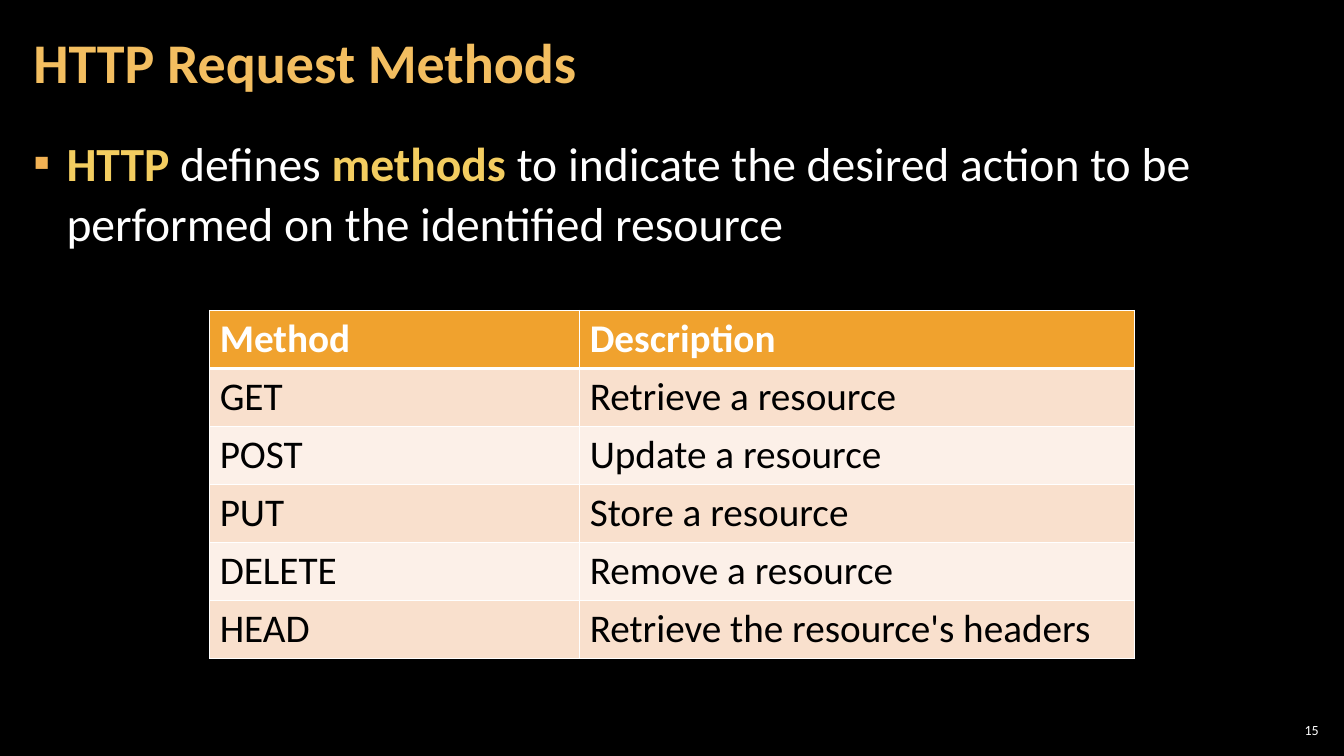
from lxml import etree
from pptx import Presentation
from pptx.dml.color import RGBColor
from pptx.enum.text import MSO_ANCHOR, MSO_AUTO_SIZE, PP_ALIGN
from pptx.oxml.ns import qn
from pptx.util import Inches, Pt

MIDDLE, TOP = MSO_ANCHOR.MIDDLE, MSO_ANCHOR.TOP
LEFT, RIGHT = PP_ALIGN.LEFT, PP_ALIGN.RIGHT
NO_AUTOFIT = MSO_AUTO_SIZE.NONE

BLACK = RGBColor(0x00, 0x00, 0x00)
WHITE = RGBColor(0xFF, 0xFF, 0xFF)
TITLE_GOLD = RGBColor(0xF3, 0xBE, 0x60)
KEYWORD_YELLOW = RGBColor(0xF3, 0xCD, 0x60)
BULLET_ORANGE = RGBColor(0xF2, 0xB2, 0x54)
HEADER_ORANGE = RGBColor(0xF0, 0xA2, 0x2E)
BAND_COLORS = (RGBColor(0xF9, 0xE0, 0xCD), RGBColor(0xFC, 0xF0, 0xE8))

FONT = "Calibri"
METHODS = [
    ("Method", "Description"),
    ("GET", "Retrieve a resource"),
    ("POST", "Update a resource"),
    ("PUT", "Store a resource"),
    ("DELETE", "Remove a resource"),
    ("HEAD", "Retrieve the resource's headers"),
]
COLUMN_WIDTHS = (3.67, 5.5)
ROW_HEIGHT = 0.57


def add_run(paragraph, text, size, color, bold=False):
    run = paragraph.add_run()
    run.text = text
    run.font.name = FONT
    run.font.size = Pt(size)
    run.font.bold = bold
    run.font.color.rgb = color


def set_frame(frame, anchor, side_inset):
    frame.word_wrap = True
    frame.auto_size = NO_AUTOFIT
    frame.vertical_anchor = anchor
    frame.margin_left = frame.margin_right = Inches(side_inset)
    frame.margin_top = frame.margin_bottom = Inches(0.04)


def add_text_box(slide, left, top, width, height, anchor, side_inset):
    box = slide.shapes.add_textbox(Inches(left), Inches(top), Inches(width), Inches(height))
    set_frame(box.text_frame, anchor, side_inset)
    return box.text_frame.paragraphs[0]


def set_bullet(paragraph, char, color, indent):
    properties = paragraph._p.get_or_add_pPr()
    properties.set("marL", str(Inches(indent)))
    properties.set("indent", str(-Inches(indent)))
    bullet_color = etree.SubElement(properties, qn("a:buClr"))
    etree.SubElement(bullet_color, qn("a:srgbClr"), val=str(color))
    etree.SubElement(properties, qn("a:buFont"), typeface=FONT)
    etree.SubElement(properties, qn("a:buChar"), char=char)


def set_borders(cell, color, bottom_width):
    properties = cell._tc.get_or_add_tcPr()
    for side, width in (("L", 1), ("R", 1), ("T", 1), ("B", bottom_width)):
        line = etree.SubElement(properties, qn(f"a:ln{side}"), w=str(Pt(width)))
        fill = etree.SubElement(line, qn("a:solidFill"))
        etree.SubElement(fill, qn("a:srgbClr"), val=str(color))


def add_title(slide, text):
    title = slide.shapes.title
    title.left, title.top = Inches(0.21), Inches(0.04)
    title.width, title.height = Inches(10.47), Inches(1.21)
    set_frame(title.text_frame, MIDDLE, 0.12)
    heading = title.text_frame.paragraphs[0]
    heading.alignment = LEFT
    heading.line_spacing = 0.9
    add_run(heading, text, 40, TITLE_GOLD, bold=True)


def add_definition(slide):
    definition = add_text_box(slide, 0.21, 1.26, 12.91, 6.09, TOP, 0.12)
    set_bullet(definition, "▪", BULLET_ORANGE, 0.33)
    definition.line_spacing = 1.05
    definition.space_after = Pt(6)
    for text, is_keyword in (
        ("HTTP", True),
        (" defines ", False),
        ("methods ", True),
        ("to indicate the desired action to be performed on the identified resource", False),
    ):
        add_run(definition, text, 34, KEYWORD_YELLOW if is_keyword else WHITE, is_keyword)


def add_methods_table(slide):
    table = slide.shapes.add_table(
        len(METHODS), len(COLUMN_WIDTHS), Inches(2.08), Inches(3.08),
        Inches(sum(COLUMN_WIDTHS)), Inches(ROW_HEIGHT * len(METHODS)),
    ).table
    for column, width in zip(table.columns, COLUMN_WIDTHS):
        column.width = Inches(width)
    for row, texts in enumerate(METHODS):
        is_header = row == 0
        for column, text in enumerate(texts):
            cell = table.cell(row, column)
            set_borders(cell, WHITE, 3 if is_header else 1)
            cell.fill.solid()
            cell.fill.fore_color.rgb = HEADER_ORANGE if is_header else BAND_COLORS[(row - 1) % 2]
            add_run(cell.text_frame.paragraphs[0], text, 28, WHITE if is_header else BLACK, is_header)


def add_page_number(slide, number):
    page_number = add_text_box(slide, 12.65, 7.14, 0.47, 0.21, MIDDLE, 0.04)
    page_number.alignment = RIGHT
    add_run(page_number, number, 10, WHITE)


def main():
    deck = Presentation()
    deck.slide_width, deck.slide_height = Inches(13.33), Inches(7.5)
    slide = deck.slides.add_slide(deck.slide_layouts[5])
    slide.background.fill.solid()
    slide.background.fill.fore_color.rgb = BLACK
    add_page_number(slide, "15")
    add_definition(slide)
    add_title(slide, "HTTP Request Methods")
    add_methods_table(slide)
    deck.save("out.pptx")


if __name__ == "__main__":
    main()
